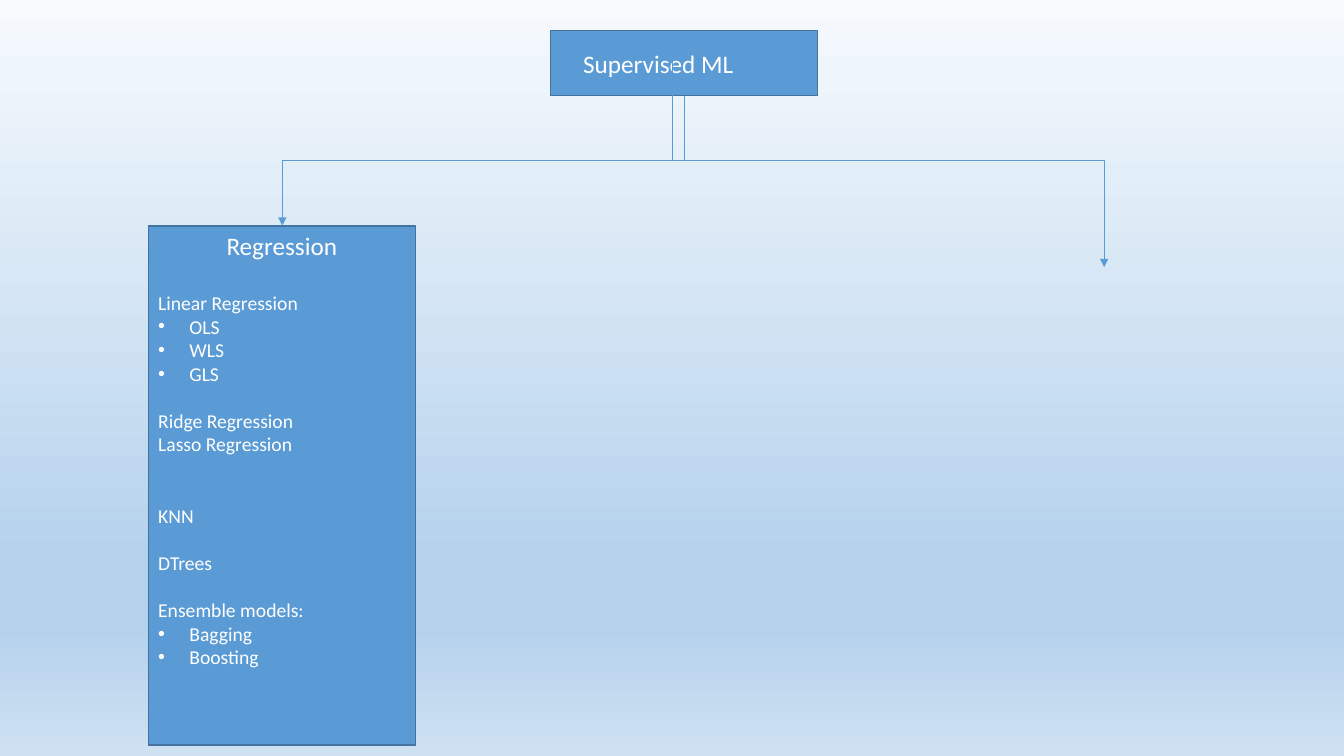
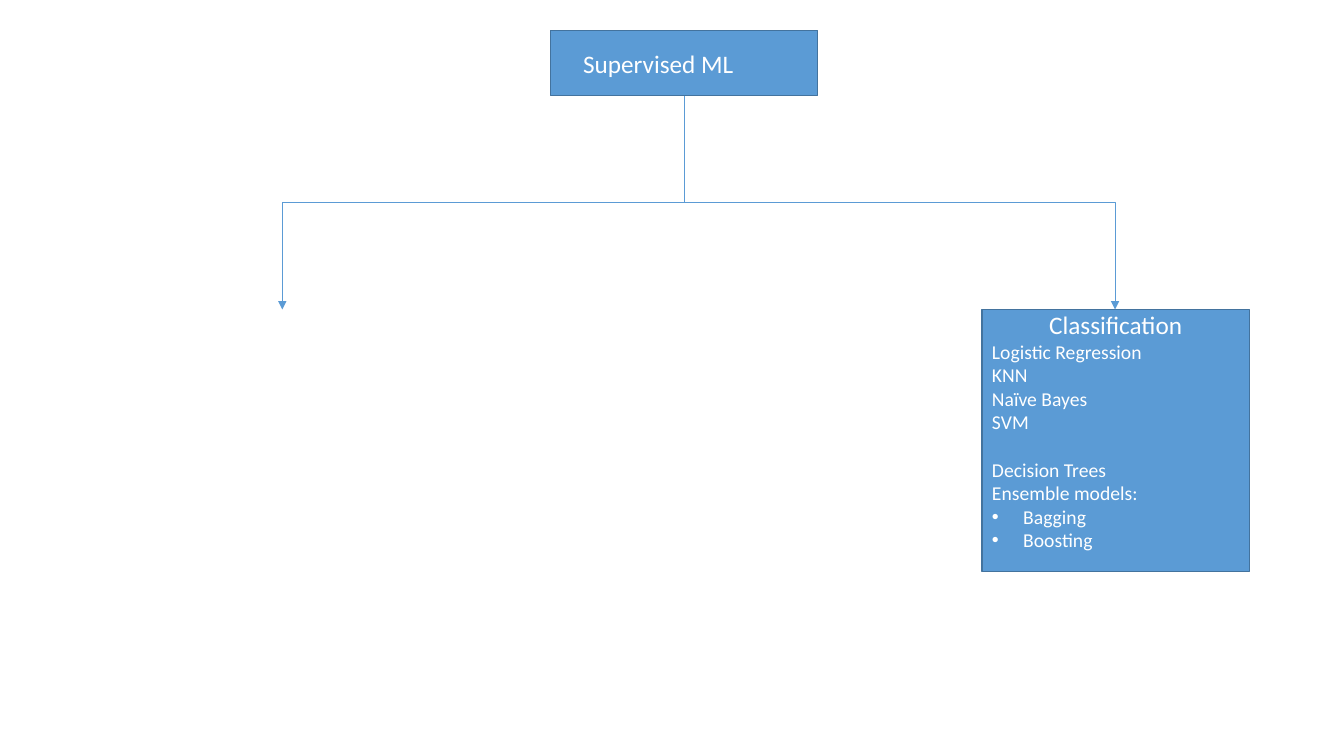
from lxml import etree
from pptx import Presentation
from pptx.dml.color import RGBColor
from pptx.enum import shapes, text
from pptx.oxml.ns import qn
from pptx.util import Inches, Pt

FONT = "Calibri"
WHITE = RGBColor(0xFF, 0xFF, 0xFF)
BLUE = RGBColor(0x5B, 0x9B, 0xD5)
DARK_BLUE = RGBColor(0x43, 0x73, 0x9E)
SKY = [
    (0, RGBColor(0xF7, 0xFA, 0xFD)),
    (10, RGBColor(0xEE, 0xF5, 0xFB)),
    (74, RGBColor(0xB5, 0xD2, 0xEC)),
    (83, RGBColor(0xB5, 0xD2, 0xEC)),
    (100, RGBColor(0xCE, 0xE1, 0xF2)),
]

BOX_WIDTH = 2.65
ROOT_LEFT, ROOT_TOP, ROOT_HEIGHT = 5.46, 0.3, 0.65
ROOT_BOTTOM = ROOT_TOP + ROOT_HEIGHT
ROOT_CENTER = 6.79
LEFT_BRANCH = 2.8
HEADING_SIZE, ITEM_SIZE = 18, 14
BULLET_INDENT = 0.31

# Each item: text, is it a bullet, points of space before it
REGRESSION = [
    ("Linear Regression", False, 22),
    ("OLS", True, 0),
    ("WLS", True, 0),
    ("GLS", True, 0),
    ("Ridge Regression", False, 17),
    ("Lasso Regression", False, 0),
    ("KNN", False, 34),
    ("DTrees", False, 17),
    ("Ensemble models:", False, 17),
    ("Bagging", True, 0),
    ("Boosting", True, 0),
]
CLASSIFICATION = [
    ("Logistic Regression", False, 0),
    ("KNN", False, 0),
    ("Naïve Bayes", False, 0),
    ("SVM", False, 0),
    ("Decision Trees", False, 17),
    ("Ensemble models:", False, 0),
    ("Bagging", True, 0),
    ("Boosting", True, 0),
]


class Diagram:
    def __init__(self):
        self.presentation = Presentation()
        self.presentation.slide_width = Inches(13.33)
        self.presentation.slide_height = Inches(7.5)
        self.slide = None

    def add_slide(self):
        """Start a slide that shows the root box."""
        layout = self.presentation.slide_layouts[6]
        self.slide = self.presentation.slides.add_slide(layout)
        frame = self.box(ROOT_LEFT, ROOT_TOP, ROOT_HEIGHT)
        frame.vertical_anchor = text.MSO_ANCHOR.MIDDLE
        frame.margin_right = Inches(0.61)
        self.heading(frame, "Supervised ML")

    def gradient_background(self, stops):
        fill = self.slide.background.fill
        fill.gradient()
        fill.gradient_angle = 270
        stop_list = next(self.slide.element.iter(qn("a:gsLst")))
        for stop in list(stop_list):
            stop_list.remove(stop)
        for percent, color in stops:
            stop = etree.SubElement(stop_list, qn("a:gs"), pos=str(percent * 1000))
            etree.SubElement(stop, qn("a:srgbClr"), val=str(color))

    def box(self, left, top, height):
        """Draw a blue box and return its text frame."""
        shape = self.slide.shapes.add_shape(
            shapes.MSO_SHAPE.RECTANGLE,
            Inches(left), Inches(top), Inches(BOX_WIDTH), Inches(height))
        shape.shadow.inherit = False
        shape.fill.solid()
        shape.fill.fore_color.rgb = BLUE
        shape.line.color.rgb = DARK_BLUE
        shape.line.width = Pt(1)
        shape.text_frame.word_wrap = True
        return shape.text_frame

    def set_text(self, paragraph, words, size, alignment):
        paragraph.text = words
        paragraph.alignment = alignment
        for run in paragraph.runs:
            run.font.name = FONT
            run.font.size = Pt(size)
            run.font.color.rgb = WHITE

    def heading(self, frame, words):
        self.set_text(frame.paragraphs[0], words, HEADING_SIZE, text.PP_ALIGN.CENTER)

    def list_box(self, left, top, height, title, items, inset):
        frame = self.box(left, top, height)
        frame.vertical_anchor = text.MSO_ANCHOR.TOP
        frame.margin_top = Inches(inset)
        self.heading(frame, title)
        for words, is_bullet, space in items:
            paragraph = frame.add_paragraph()
            self.set_text(paragraph, words, ITEM_SIZE, text.PP_ALIGN.LEFT)
            paragraph.space_before = Pt(space)
            if is_bullet:
                self.bullet(paragraph)

    def bullet(self, paragraph):
        properties = paragraph._p.get_or_add_pPr()
        indent = Inches(BULLET_INDENT)
        properties.set("marL", str(indent))
        properties.set("indent", str(-indent))
        etree.SubElement(properties, qn("a:buFont"), typeface="Arial")
        etree.SubElement(properties, qn("a:buChar"), char="•")

    def branch(self, start_x, start_y, end_x, end_y):
        """Draw an elbow arrow that leaves and arrives vertically."""
        # A turned elbow: its unrotated width is the vertical distance.
        width, height = end_y - start_y, abs(end_x - start_x)
        left = (start_x + end_x - width) / 2
        top = (start_y + end_y - height) / 2
        begin, end, turn = left, left + width, 90
        if end_x > start_x:
            begin, end, turn = end, begin, 270
        connector = self.slide.shapes.add_connector(
            shapes.MSO_CONNECTOR.ELBOW,
            Inches(begin), Inches(top), Inches(end), Inches(top + height))
        connector.line.color.rgb = BLUE
        connector.line.width = Pt(0.5)
        properties = connector._element.spPr
        properties.find(qn("a:xfrm")).set("rot", str(turn * 60000))
        etree.SubElement(properties.find(qn("a:ln")), qn("a:tailEnd"), type="triangle")
        etree.SubElement(properties, qn("a:effectLst"))


def main():
    diagram = Diagram()

    diagram.add_slide()
    diagram.gradient_background(SKY)
    diagram.list_box(1.47, 2.24, 5.15, "Regression", REGRESSION, 0.04)
    diagram.branch(ROOT_CENTER, ROOT_BOTTOM, LEFT_BRANCH, 2.24)
    diagram.branch(6.67, 0.53, 10.95, 2.65)

    diagram.add_slide()
    diagram.list_box(9.74, 3.07, 2.6, "Classification", CLASSIFICATION, 0)
    for branch_x in (LEFT_BRANCH, 11.06):
        diagram.branch(ROOT_CENTER, ROOT_BOTTOM, branch_x, 3.07)

    diagram.presentation.save("out.pptx")


if __name__ == "__main__":
    main()
